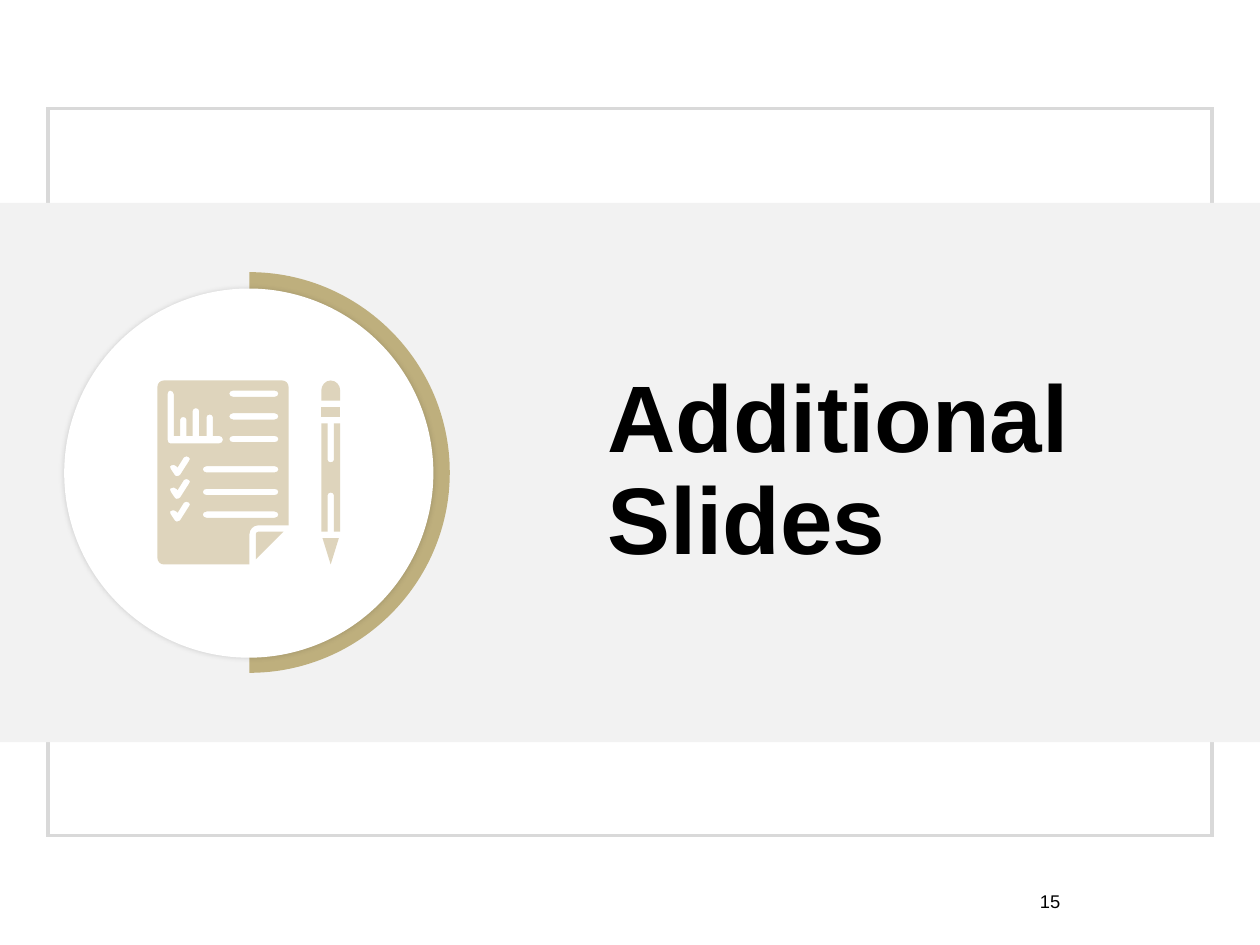
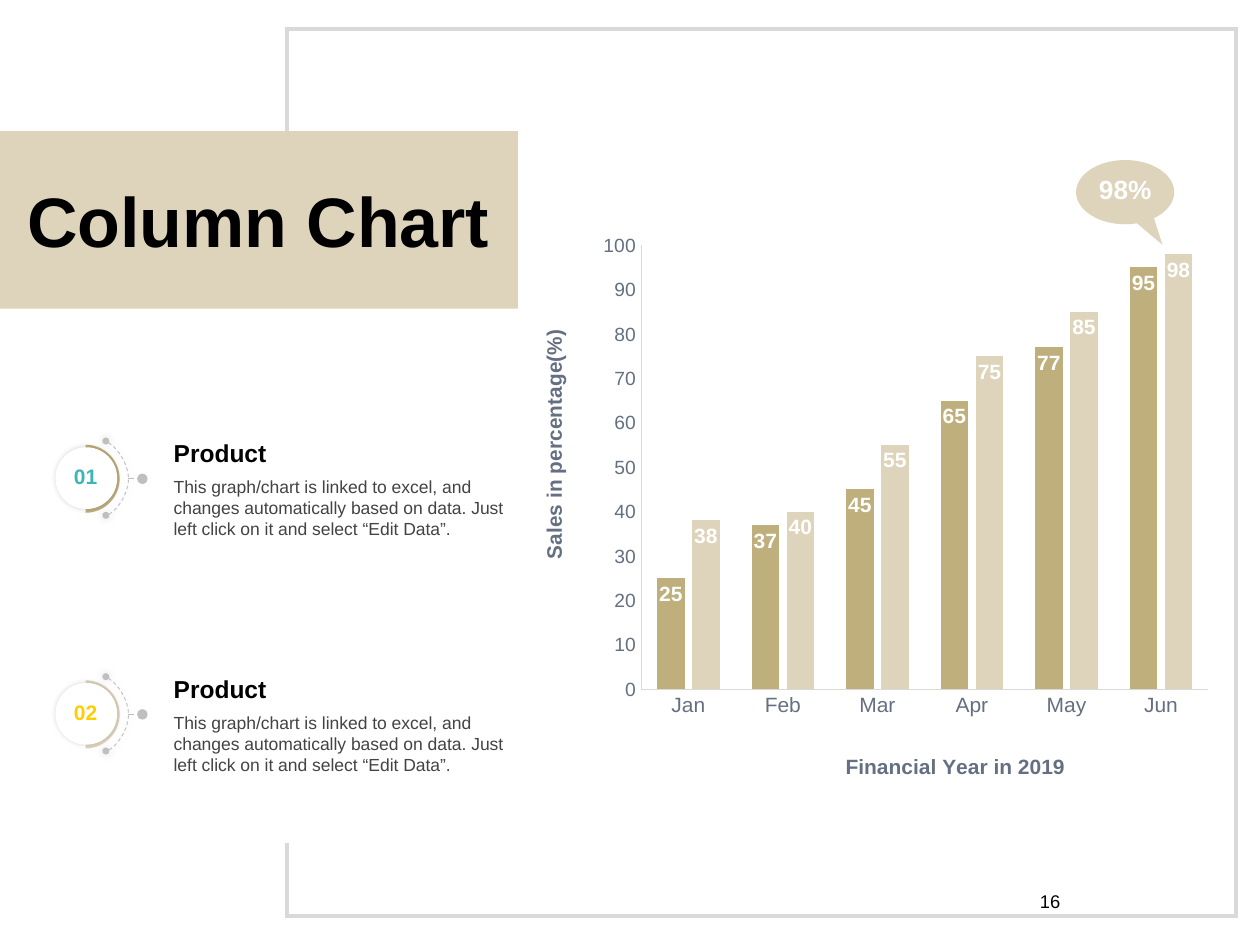
from typing import Any, NamedTuple, Optional

from lxml import etree
from pptx import Presentation, util as u
from pptx.chart.data import CategoryChartData
from pptx.dml.color import RGBColor
from pptx.enum import chart as ch, dml, shapes as sh, text as tx
from pptx.oxml import ns

PX = 9144  # EMU in one px: 100 px to the inch
FONT = "Arial"
GOLD, SAND, WHITE, BLACK = "BEAF7D", "DED4BC", "FFFFFF", "000000"
FRAME, PALE, DOT, SLATE, BODY = "D9D9D9", "F2F2F2", "BFBFBF", "647082", "434343"
TITLE_ONLY = 5
ROUNDNESS = 0.55  # how far a quarter curve's handles reach towards its corner

# A contour step is (x, y) for a line or (corner x, corner y, x, y) for a curve.
Contour = list[tuple[float, ...]]


class Box(NamedTuple):
    left: int
    top: int
    width: int
    height: int

    def emu(self) -> list[int]:
        return [side * PX for side in self]


class Line(NamedTuple):
    color: str
    width: float
    dash: Any = None
    head: str = ""
    tail: str = ""
    dot_size: str = "med"


class Product(NamedTuple):
    number: str
    number_color: str
    ring_color: str
    center_y: int


FRAME_LINE = Line(FRAME, 2)
ORBIT_LINE = Line(DOT, 0.5, dml.MSO_LINE.DASH, "oval", "oval", "sm")
POINTER_LINE = Line(DOT, 0.75, dml.MSO_LINE.DASH, tail="oval")

PRODUCT_NOTE = ("This graph/chart is linked to excel, and changes automatically "
                "based on data. Just left click on it and select “Edit Data”.")
PRODUCTS = [Product("01", "3DB5B4", GOLD, 380), Product("02", "FECE00", SAND, 567)]
MONTHS = ["Jan", "Feb", "Mar", "Apr", "May", "Jun"]
SALES = {"Series 1": (GOLD, [25, 37, 45, 65, 77, 95]),
         "Series 2": (SAND, [38, 40, 55, 75, 85, 98])}


def rgb(color: str) -> RGBColor:
    return RGBColor.from_string(color)


def set_values(target: Any, values: dict[str, Any]) -> None:
    for name, value in values.items():
        setattr(target, name, value)


def set_font(font: Any, size: float, color: str, bold: bool = False) -> None:
    set_values(font, {"name": FONT, "size": u.Pt(size), "bold": bold})
    font.color.rgb = rgb(color)


def set_line(shape: Any, line: Line) -> None:
    shape.line.color.rgb = rgb(line.color)
    shape.line.width = u.Pt(line.width)
    if line.dash:
        shape.line.dash_style = line.dash
    ln = shape.element.spPr.get_or_add_ln()
    etree.SubElement(ln, ns.qn("a:miter"), lim="800000")
    for end, kind in (("a:headEnd", line.head), ("a:tailEnd", line.tail)):
        if kind:
            etree.SubElement(ln, ns.qn(end), type=kind, w=line.dot_size,
                             len=line.dot_size)


def set_effect(shape: Any, blur: int = 0) -> None:
    """Give a faint even shadow of the given blur, or none."""
    effects = etree.SubElement(shape.element.spPr, ns.qn("a:effectLst"))
    if blur:
        shadow = etree.SubElement(effects, ns.qn("a:outerShdw"),
                                  blurRad=str(u.Pt(blur)), dist="0", algn="ctr")
        black = etree.SubElement(shadow, ns.qn("a:srgbClr"), val=BLACK)
        etree.SubElement(black, ns.qn("a:alpha"), val="15000")


def paint(shape: Any, fill: Optional[str], line: Optional[Line], blur: int) -> None:
    if fill:
        shape.fill.solid()
        shape.fill.fore_color.rgb = rgb(fill)
    else:
        shape.fill.background()
    if line:
        set_line(shape, line)
    else:
        shape.line.fill.background()
    set_effect(shape, blur)


def add_preset(slide: Any, kind: Any, box: Box, fill: Optional[str] = None,
               line: Optional[Line] = None, blur: int = 0) -> Any:
    shape = slide.shapes.add_shape(kind, *box.emu())
    paint(shape, fill, line, blur)
    return shape


def bend(shape: Any, contours: list[Contour]) -> None:
    """Turn the line steps that name a corner into curves."""
    steps = [step for contour in contours for step in contour]
    segments = [element for tag in ("a:moveTo", "a:lnTo")
                for element in shape.element.iter(ns.qn(tag))]
    path = segments[0].getparent()
    drawn = [element for element in path if element in segments]
    for before, step, segment in zip(steps, steps[1:], drawn[1:]):
        if len(step) == 2:
            continue
        corner, end = step[:2], step[2:]
        handles = [[a + ROUNDNESS * (c - a) for a, c in zip(point, corner)]
                   for point in (before[-2:], end)]
        curve = etree.Element(ns.qn("a:cubicBezTo"))
        for x, y in (*handles, end):
            etree.SubElement(curve, ns.qn("a:pt"), x=str(round(x * PX) - shape.left),
                             y=str(round(y * PX) - shape.top))
        path.replace(segment, curve)


def add_outline(slide: Any, contours: list[Contour], fill: Optional[str] = None,
                line: Optional[Line] = None, blur: int = 0) -> None:
    """Draw contours, closed when filled; inner contours become holes."""
    builder = None
    for contour in contours:
        start, *rest = [(round(s[-2] * PX), round(s[-1] * PX)) for s in contour]
        if builder is None:
            builder = slide.shapes.build_freeform(*start)
        else:
            builder.move_to(*start)
        builder.add_line_segments(rest, close=bool(fill))
    shape = builder.convert_to_shape()
    bend(shape, contours)
    paint(shape, fill, line, blur)


def half_disc(x: int, y: int, radius: int) -> Contour:
    top, bottom, right = y - radius, y + radius, x + radius
    return [(x, top), (x, bottom), (right, bottom, right, y), (right, top, x, top)]


def add_connector(slide: Any, start: tuple[int, int], end: tuple[int, int],
                  line: Line) -> None:
    ends = [side * PX for side in (*start, *end)]
    connector = slide.shapes.add_connector(sh.MSO_CONNECTOR.STRAIGHT, *ends)
    set_line(connector, line)
    set_effect(connector)


def write(shape: Any, words: str, size: float, color: str, bold: bool = False,
          align: Any = tx.PP_ALIGN.LEFT, anchor: Any = tx.MSO_ANCHOR.TOP) -> Any:
    frame = shape.text_frame
    set_values(frame, {"text": words, "word_wrap": True, "vertical_anchor": anchor,
                       "auto_size": tx.MSO_AUTO_SIZE.NONE})
    paragraph = frame.paragraphs[0]
    paragraph.alignment = align
    set_font(paragraph.runs[0].font, size, color, bold)
    return paragraph


def add_text(slide: Any, box: Box, words: str, size: float, color: str,
             **style: Any) -> None:
    write(slide.shapes.add_textbox(*box.emu()), words, size, color, **style)


def set_title(slide: Any, box: Box, words: str, size: float, **style: Any) -> Any:
    """Fill the title placeholder and bring it in front of its band."""
    title = slide.shapes.title
    set_values(title, dict(zip(Box._fields, box.emu())))
    title.element.getparent().append(title.element)
    return write(title, words, size, BLACK, bold=True, **style)


def add_page_number(slide: Any, number: int) -> None:
    add_text(slide, Box(717, 695, 233, 40), str(number), 10.5, BLACK,
             align=tx.PP_ALIGN.CENTER, anchor=tx.MSO_ANCHOR.MIDDLE)


def text_row(left: int, top: int) -> Contour:
    right, middle, bottom = 221, top + 2.5, top + 5
    return [(left + 3, top), (right - 3, top), (right, top, right, middle),
            (right, bottom, right - 3, bottom), (left + 3, bottom),
            (left, bottom, left, middle), (left, top, left + 3, top)]


def check_mark(y: int) -> Contour:
    return [(150, y + 3), (143, y + 14), (142, y + 15, 140, y + 15),
            (139, y + 15, 138, y + 13), (136, y + 10), (135, y + 9, 135, y + 7),
            (136, y + 6, 138, y + 6), (139, y + 6, 140, y + 7), (141, y + 8),
            (146, y), (148, y - 2, 150, y), (152, y + 1, 150, y + 3)]


def mini_chart() -> Contour:
    base = 346
    outline: Contour = [(133, 313), (133, 310, 135, 310), (138, 310, 138, 313),
                        (138, base)]
    for left, top in ((143, 333), (153, 326), (164, 331)):
        right, middle = left + 5, left + 2.5
        outline += [(left, base), (left, top), (left, top - 2, middle, top - 2),
                    (right, top - 2, right, top), (right, base)]
    return outline + [(174, base), (177, base, 177, 349), (177, 352, 174, 352),
                      (135, 352), (133, 352, 133, 349), (133, 313)]


def draw_checklist(slide: Any) -> None:
    sheet: Contour = [(125, 443), (125, 448, 130, 448), (198, 448), (198, 424),
                      (198, 417, 205, 417), (229, 417), (229, 307),
                      (229, 302, 224, 302), (130, 302), (125, 302, 125, 307)]
    holes = [mini_chart()]
    for offset in (0, 18, 36):
        holes += [text_row(182, 310 + offset), text_row(161, 370 + offset),
                  check_mark(363 + offset)]
    add_outline(slide, [sheet, *holes], SAND)
    add_outline(slide, [[(203, 424), (203, 444), (225, 422), (205, 422),
                         (203, 422, 203, 424)]], SAND)


def draw_pencil(slide: Any) -> None:
    left, right, middle = 255, 270, 262.5
    tip: Contour = [(middle, 448), (269, 427), (256, 427)]
    band: Contour = [(left, 323), (right, 323), (right, 331), (left, 331)]
    cap: Contour = [(right, 310), (right, 302, middle, 302), (left, 302, left, 310),
                    (left, 318), (right, 318)]
    barrel: Contour = [(right, 336), (265, 336), (265, 365), (265, 367, middle, 367),
                       (260, 367, 260, 365), (260, 336), (left, 336), (left, 422),
                       (260, 422), (260, 393), (260, 391, middle, 391),
                       (265, 391, 265, 393), (265, 422), (right, 422)]
    for part in (tip, band, cap, barrel):
        add_outline(slide, [part], SAND)


def build_divider(prs: Any) -> None:
    slide = prs.slides.add_slide(prs.slide_layouts[TITLE_ONLY])
    add_page_number(slide, 15)
    add_preset(slide, sh.MSO_SHAPE.RECTANGLE, Box(38, 86, 924, 577), line=FRAME_LINE)
    add_preset(slide, sh.MSO_SHAPE.RECTANGLE, Box(0, 161, 1000, 428), PALE)
    heading = set_title(slide, Box(472, 289, 440, 174), "Additional Slides", 54)
    heading.line_spacing = 0.9
    add_outline(slide, [half_disc(198, 375, 159)], GOLD)
    add_preset(slide, sh.MSO_SHAPE.OVAL, Box(51, 229, 293, 293), WHITE, blur=3)
    draw_checklist(slide)
    draw_pencil(slide)


def set_layout(parent: Any, **fractions: float) -> None:
    """Place a chart part by fractions of the chart's size."""
    for old in parent.findall(ns.qn("c:layout")):
        parent.remove(old)
    layout = etree.Element(ns.qn("c:layout"))
    parent.insert(len(parent.findall(ns.qn("c:tx"))), layout)
    manual = etree.SubElement(layout, ns.qn("c:manualLayout"))
    if "w" in fractions:
        etree.SubElement(manual, ns.qn("c:layoutTarget"), val="inner")
    for side in "xy":
        etree.SubElement(manual, ns.qn(f"c:{side}Mode"), val="edge")
    for name, value in fractions.items():
        etree.SubElement(manual, ns.qn(f"c:{name}"), val=str(value))


def format_axis(axis: Any, title: str, size: int, x: float, y: float) -> None:
    set_values(axis, {"has_major_gridlines": False,
                      "major_tick_mark": ch.XL_TICK_MARK.NONE,
                      "minor_tick_mark": ch.XL_TICK_MARK.NONE})
    set_font(axis.tick_labels.font, size, SLATE)
    axis.format.line.color.rgb = rgb(FRAME)
    axis.format.line.width = u.Pt(0.5)
    frame = axis.axis_title.text_frame
    frame.text = title
    set_font(frame.paragraphs[0].runs[0].font, 12, SLATE, bold=True)
    set_layout(axis.axis_title.element, x=x, y=y)


def add_sales_chart(slide: Any) -> None:
    data = CategoryChartData()
    data.categories = MONTHS
    for name, (_, values) in SALES.items():
        data.add_series(name, values)
    chart = slide.shapes.add_chart(ch.XL_CHART_TYPE.COLUMN_CLUSTERED,
                                   *Box(421, 177, 549, 446).emu(), data).chart
    set_values(chart, {"has_legend": False, "has_title": False})
    set_font(chart.font, 12, SLATE)
    plot = chart.plots[0]
    set_values(plot, {"gap_width": 115, "overlap": -27, "vary_by_categories": False})
    for series, (color, _) in zip(plot.series, SALES.values()):
        series.format.fill.solid()
        series.format.fill.fore_color.rgb = rgb(color)
        set_values(series.data_labels, {"show_value": True,
                                        "position": ch.XL_LABEL_POSITION.INSIDE_END})
        set_font(series.data_labels.font, 12, WHITE, bold=True)
    format_axis(chart.category_axis, "Financial Year in 2019", 12, 0.45, 0.95)
    format_axis(chart.value_axis, "Sales in percentage(%)", 11, 0.01, 0.19)
    set_values(chart.value_axis, {"minimum_scale": 0, "maximum_scale": 100,
                                  "major_unit": 10})
    set_values(chart.value_axis.tick_labels, {"number_format": "#,##0",
                                              "number_format_is_linked": False})
    set_layout(chart.element.chart.plotArea, x=0.16, y=0.04, w=0.82, h=0.8)


def add_product(slide: Any, product: Product) -> None:
    y = product.center_y
    orbit: Contour = [(84, y - 30), (87, y - 28), (102, y - 18, 102, y),
                      (102, y + 18, 87, y + 28), (84, y + 29)]
    add_outline(slide, [orbit], line=ORBIT_LINE, blur=5)
    add_connector(slide, (102, y), (113, y), POINTER_LINE)
    add_outline(slide, [half_disc(68, y, 27)], product.ring_color)
    add_preset(slide, sh.MSO_SHAPE.OVAL, Box(44, y - 25, 49, 49), WHITE, blur=3)
    add_text(slide, Box(45, y - 17, 46, 35), product.number, 12, product.number_color,
             bold=True, align=tx.PP_ALIGN.CENTER)
    add_text(slide, Box(128, y - 37, 149, 34), "Product", 14, BLACK, bold=True)
    add_text(slide, Box(128, y - 7, 283, 61), PRODUCT_NOTE, 10, BODY)


def build_sales(prs: Any) -> None:
    slide = prs.slides.add_slide(prs.slide_layouts[TITLE_ONLY])
    add_outline(slide, [[(228, 110), (228, 23), (981, 23), (981, 727), (228, 727),
                         (228, 669)]], line=FRAME_LINE)
    add_preset(slide, sh.MSO_SHAPE.RECTANGLE, Box(0, 104, 411, 141), SAND)
    add_page_number(slide, 16)
    add_sales_chart(slide)
    callout = add_preset(slide, sh.MSO_SHAPE.OVAL_CALLOUT, Box(854, 127, 78, 51), SAND)
    callout.adjustments[0], callout.adjustments[1] = 0.38, 0.82
    add_text(slide, Box(859, 133, 68, 43), "98%", 15, WHITE, bold=True,
             align=tx.PP_ALIGN.CENTER)
    for product in PRODUCTS:
        add_product(slide, product)
    set_title(slide, Box(8, 136, 394, 77), "Column Chart", 40, align=tx.PP_ALIGN.CENTER)


def main() -> None:
    prs = Presentation()
    set_values(prs, {"slide_width": 1000 * PX, "slide_height": 750 * PX})
    build_divider(prs)
    build_sales(prs)
    prs.save("out.pptx")


if __name__ == "__main__":
    main()
